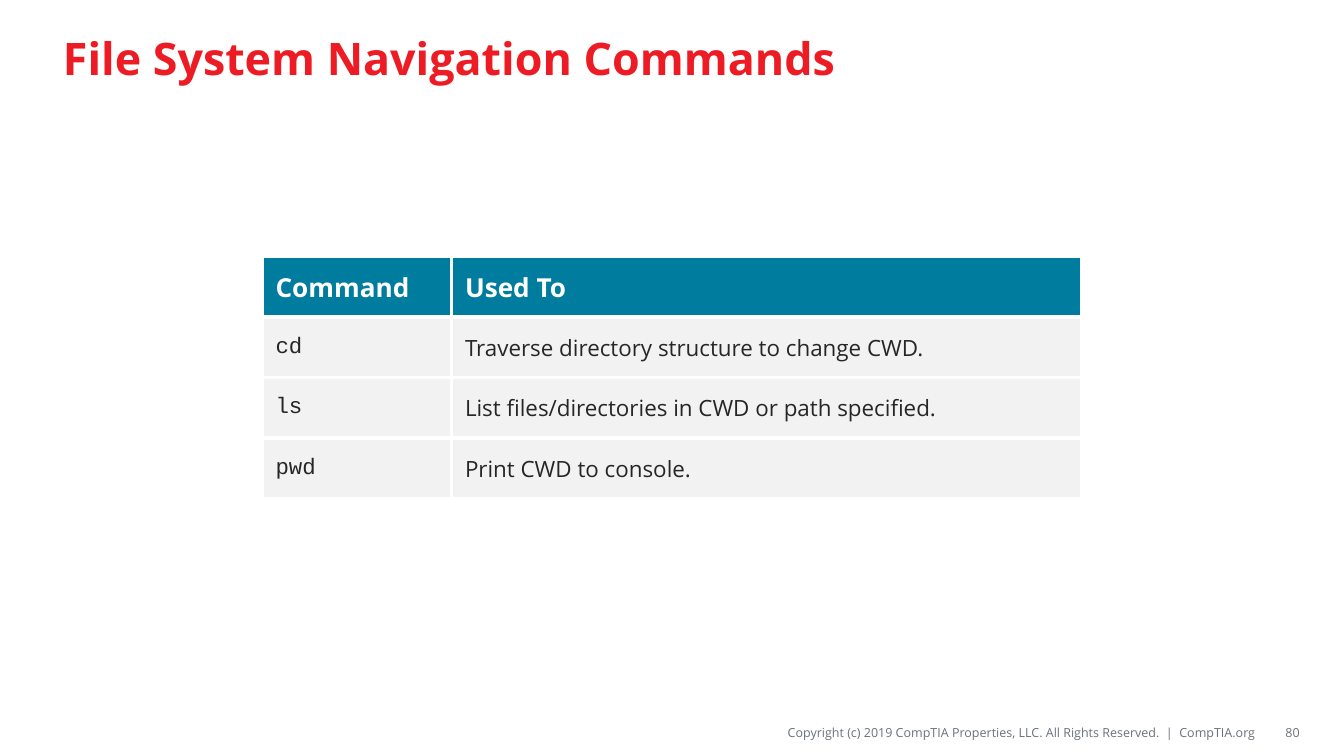
from dataclasses import dataclass

from lxml import etree
from pptx import Presentation
from pptx import util as u
from pptx.dml.color import RGBColor
from pptx.enum import text
from pptx.oxml import ns


@dataclass(frozen=True)
class Theme:
    red: str = "ED1C24"
    teal: str = "007C9E"
    pale: str = "F2F2F2"
    white: str = "FFFFFF"
    ink: str = "262626"
    grey: str = "69727B"
    body_font: str = "Open Sans"
    code_font: str = "Courier New"
    title_size: float = 24
    header_size: float = 14
    cell_size: float = 12
    footer_size: float = 6.75
    border_width: float = 2.25


THEME = Theme()
ROWS = [
    ("Command", "Used To"),
    ("cd", "Traverse directory structure to change CWD."),
    ("ls", "List files/directories in CWD or path specified."),
    ("pwd", "Print CWD to console."),
]


def write(frame, words, size, color, name=THEME.body_font, bold=False,
          align=text.PP_ALIGN.LEFT):
    """Put one formatted line into a text frame."""
    para = frame.paragraphs[0]
    para.alignment = align
    span = para.add_run()
    span.text = words
    for key, value in {"size": u.Pt(size), "name": name, "bold": bold}.items():
        setattr(span.font, key, value)
    span.font.color.rgb = RGBColor.from_string(color)


def add_text(page, area, words, size, color, margins=(0.1, 0.05, 0.1, 0.05),
             **style):
    box = page.shapes.add_textbox(*map(u.Inches, area))
    frame = box.text_frame
    frame.word_wrap = True
    frame.vertical_anchor = text.MSO_ANCHOR.MIDDLE
    for side, margin in zip(("left", "top", "right", "bottom"), margins):
        setattr(frame, f"margin_{side}", u.Inches(margin))
    write(frame, words, size, color, **style)


def add_borders(cell, color, width):
    props = cell._tc.get_or_add_tcPr()
    for side in ("lnL", "lnR", "lnT", "lnB"):
        line = etree.SubElement(props, ns.qn(f"a:{side}"), w=str(u.Pt(width)))
        fill = etree.SubElement(line, ns.qn("a:solidFill"))
        etree.SubElement(fill, ns.qn("a:srgbClr"), val=color)


def add_title(page, area):
    add_text(page, area, "File System Navigation Commands",
             THEME.title_size, THEME.red, bold=True)


def add_command_table(page, area, first_width):
    left, top, width, height = area
    table = page.shapes.add_table(len(ROWS), len(ROWS[0]),
                                  *map(u.Inches, area)).table
    table.horz_banding = False
    for column, size in zip(table.columns, (first_width, width - first_width)):
        column.width = u.Inches(size)
    for row_index, row in enumerate(ROWS):
        table.rows[row_index].height = u.Inches(height / len(ROWS))
        header = row_index == 0
        for column_index, words in enumerate(row):
            cell = table.cell(row_index, column_index)
            cell.vertical_anchor = text.MSO_ANCHOR.MIDDLE
            add_borders(cell, THEME.white, THEME.border_width)
            cell.fill.solid()
            cell.fill.fore_color.rgb = RGBColor.from_string(
                THEME.teal if header else THEME.pale)
            code = column_index == 0 and not header
            write(cell.text_frame, words,
                  THEME.header_size if header else THEME.cell_size,
                  THEME.white if header else THEME.ink,
                  name=THEME.code_font if code else THEME.body_font,
                  bold=header)


def add_footer(page, area, number_width):
    left, top, width, height = area
    style = {"size": THEME.footer_size, "color": THEME.grey,
             "align": text.PP_ALIGN.RIGHT}
    add_text(page, (left, top, 5.47, height),
             "Copyright (c) 2019 CompTIA Properties, LLC. "
             "All Rights Reserved.  |  CompTIA.org",
             margins=(0, 0.04, 0, 0.04), **style)
    add_text(page, (left + width - number_width, top, number_width, height),
             "80", margins=(0.1, 0.05, 0, 0.05), **style)


def main():
    deck = Presentation()
    # Widescreen page, 16:9
    deck.slide_width = u.Inches(10)
    deck.slide_height = u.Inches(10 * 9 / 16)
    page = deck.slides.add_slide(deck.slide_layouts[6])
    add_title(page, (0.37, 0.08, 9.25, 0.69))
    add_command_table(page, (1.95, 1.91, 6.1, 1.8), first_width=1.41)
    add_footer(page, (3.88, 5.34, 5.79, 0.22), number_width=0.29)
    deck.save("out.pptx")


if __name__ == "__main__":
    main()
